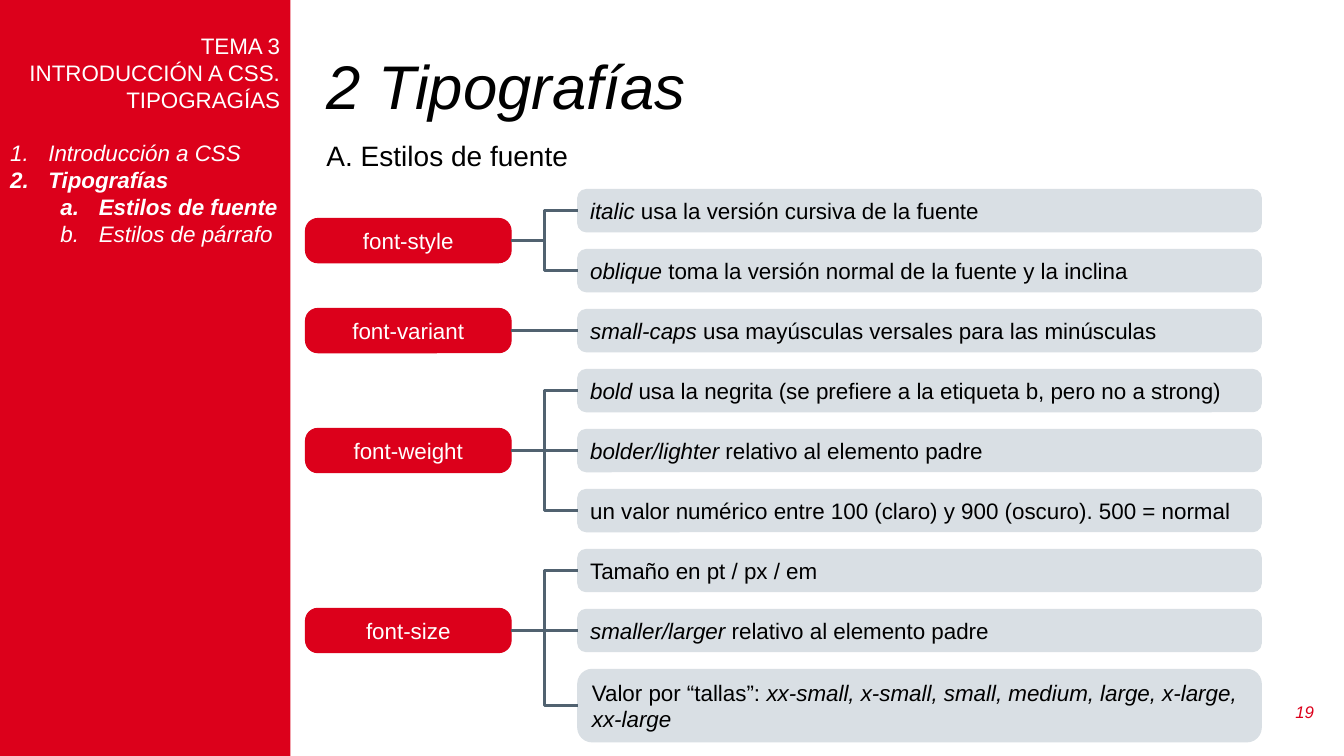
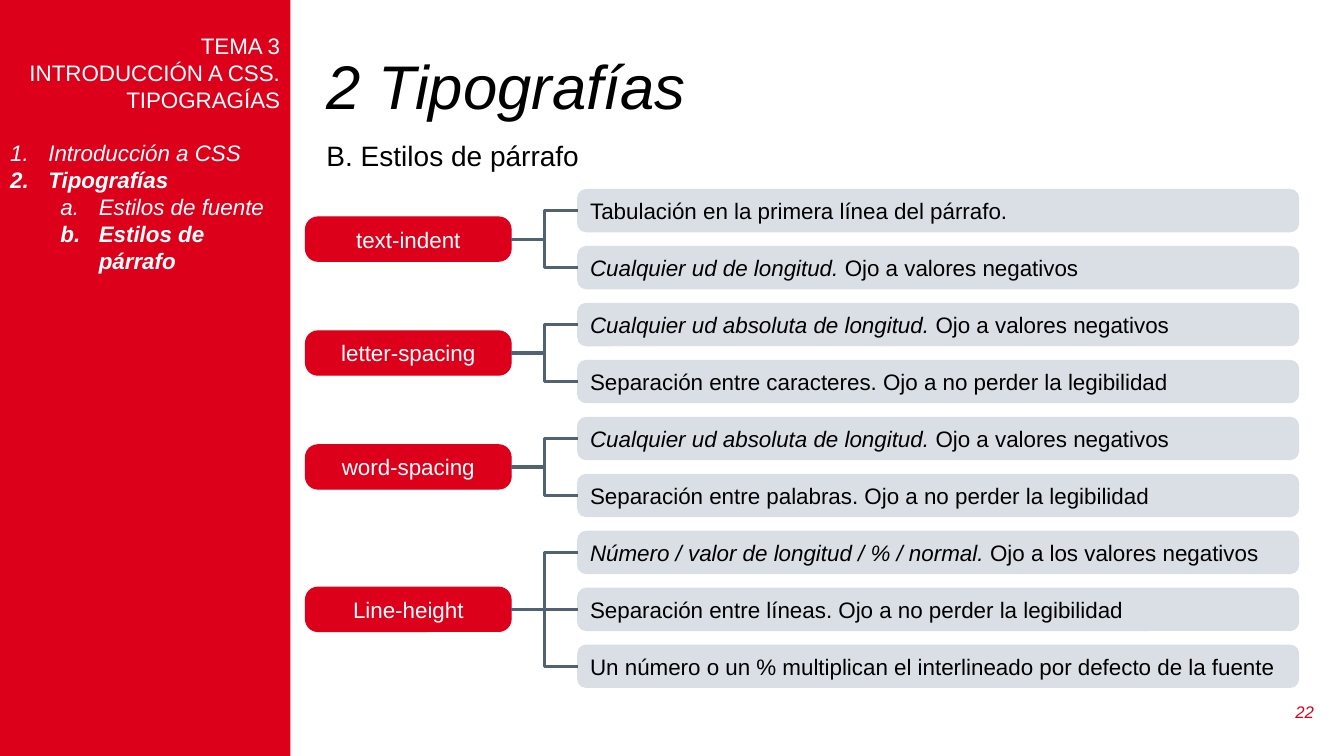
from lxml.etree import SubElement
from pptx import Presentation
from pptx.dml.color import RGBColor
from pptx.enum.shapes import MSO_CONNECTOR, MSO_SHAPE
from pptx.enum.text import MSO_ANCHOR, MSO_AUTO_SIZE, PP_ALIGN
from pptx.oxml.ns import qn
from pptx.util import Inches, Pt

# Shared style
RED = RGBColor(0xDC, 0x00, 0x1B)
GREY = RGBColor(0xD9, 0xDF, 0xE4)
SLATE = RGBColor(0x51, 0x62, 0x70)
WHITE = RGBColor(0xFF, 0xFF, 0xFF)
BLACK = RGBColor(0x00, 0x00, 0x00)
FONT = "Arial"
TEXT_SIZE = 16

# Layout, in inches
SLIDE_W, SLIDE_H = 13.33, 7.5
SIDEBAR_W = 2.88
CONTENT_X = 3.14
KEY_X, KEY_W, KEY_H = 3.03, 2.04, 0.44
VALUE_X, VALUE_H, EXTRA_LINE_H = 5.73, 0.42, 0.3
FIRST_ROW_Y = 1.88

# Shared wording
TITLE = "2 Tipografías"
HEADING = ["TEMA 3", "INTRODUCCIÓN A CSS. TIPOGRAGÍAS"]
CHAPTERS = ["Introducción a CSS", "Tipografías"]
SECTIONS = ["Estilos de fuente", "Estilos de párrafo"]

# Each group is a property and its values; *asterisks* mark italics
FONT_GROUPS = [
    ("font-style", [
        "*italic* usa la versión cursiva de la fuente",
        "*oblique* toma la versión normal de la fuente y la inclina"]),
    ("font-variant", [
        "*small-caps* usa mayúsculas versales para las minúsculas"]),
    ("font-weight", [
        "*bold* usa la negrita (se prefiere a la etiqueta b, pero no a strong)",
        "*bolder/lighter* relativo al elemento padre",
        "un valor numérico entre 100 (claro) y 900 (oscuro). 500 = normal"]),
    ("font-size", [
        "Tamaño en pt / px / em",
        "*smaller/larger* relativo al elemento padre",
        "Valor por “tallas”: *xx-small, x-small, small, medium, large, x-large,*"
        "\n*xx-large*"]),
]
PARAGRAPH_GROUPS = [
    ("text-indent", [
        "Tabulación en la primera línea del párrafo.",
        "*Cualquier ud de longitud.* Ojo a valores negativos"]),
    ("letter-spacing", [
        "*Cualquier ud absoluta de longitud.* Ojo a valores negativos",
        "Separación entre caracteres. Ojo a no perder la legibilidad"]),
    ("word-spacing", [
        "*Cualquier ud absoluta de longitud.* Ojo a valores negativos",
        "Separación entre palabras. Ojo a no perder la legibilidad"]),
    ("Line-height", [
        "*Número / valor de longitud / % / normal.* Ojo a los valores negativos",
        "Separación entre líneas. Ojo a no perder la legibilidad",
        "Un número o un % multiplican el interlineado por defecto de la fuente"]),
]


def place(sp, x, y, w, h):
    sp.left, sp.top, sp.width, sp.height = map(Inches, (x, y, w, h))


def format_run(r, color, size=TEXT_SIZE, italic=False, bold=False):
    r.font.name, r.font.size = FONT, Pt(size)
    r.font.color.rgb = color
    r.font.italic, r.font.bold = italic, bold


def write(p, text, color, align=PP_ALIGN.LEFT, **style):
    p.text = text
    p.alignment = align
    for r in p.runs:
        format_run(r, color, **style)


def write_marked(p, text, color, align):
    """Write text whose *marked* parts are italic."""
    p.alignment = align
    for i, part in enumerate(text.split("*")):
        if part:
            r = p.add_run()
            r.text = part
            format_run(r, color, italic=i % 2 == 1)


def set_list(p, margin, numbering=None):
    """Number a paragraph with a hanging indent, or remove its bullet."""
    pPr = p._p.get_or_add_pPr()
    pPr.set("marL", str(Inches(margin)))
    pPr.set("indent", str(Inches(-0.38 if numbering else 0)))
    if numbering:
        SubElement(pPr, qn("a:buAutoNum"), type=numbering)
    else:
        SubElement(pPr, qn("a:buNone"))


def add_title(slide):
    sp = slide.shapes.title
    place(sp, CONTENT_X, 0.5, 9.99, 0.78)
    tf = sp.text_frame
    tf.vertical_anchor = MSO_ANCHOR.MIDDLE
    tf.auto_size = MSO_AUTO_SIZE.NONE
    p = tf.paragraphs[0]
    write(p, TITLE, BLACK, size=44, italic=True)
    p.line_spacing = 0.9


def add_sidebar(slide, active):
    sp = slide.placeholders[1]
    place(sp, 0, 0, SIDEBAR_W, SLIDE_H)
    sp.fill.solid()
    sp.fill.fore_color.rgb = RED
    tf = sp.text_frame
    tf.auto_size = MSO_AUTO_SIZE.NONE
    tf.margin_top = Inches(0.32)
    tf.text = "\n".join(HEADING + CHAPTERS + SECTIONS)
    for p in tf.paragraphs:
        text = p.text
        p.space_before = p.space_after = Pt(0)
        if text in HEADING:
            write(p, text, WHITE, PP_ALIGN.RIGHT)
            if text == HEADING[-1]:
                p.space_after = Pt(19)
            set_list(p, 0)
            continue
        write(p, text, WHITE, italic=True, bold=text in (CHAPTERS[-1], active))
        if text in CHAPTERS:
            set_list(p, 0.38, "arabicPeriod")
        else:
            p.level = 1
            set_list(p, 0.88, "alphaLcPeriod")


def add_text(slide, x, y, w, h, text, color, **style):
    tf = slide.shapes.add_textbox(*map(Inches, (x, y, w, h))).text_frame
    tf.word_wrap = True
    write(tf.paragraphs[0], text, color, **style)
    return tf


def add_box(slide, x, y, w, h, text, fill, color, radius, align):
    sp = slide.shapes.add_shape(MSO_SHAPE.ROUNDED_RECTANGLE,
                                *map(Inches, (x, y, w, h)))
    sp.adjustments[0] = radius
    sp.shadow.inherit = False
    sp.fill.solid()
    sp.fill.fore_color.rgb = fill
    sp.line.color.rgb = fill
    sp.line.width = Pt(0.75)
    tf = sp.text_frame
    tf.word_wrap = True
    for i, line in enumerate(text.split("\n")):
        p = tf.add_paragraph() if i else tf.paragraphs[0]
        write_marked(p, line, color, align)
    return sp


def add_link(slide, key, value, level):
    kind = MSO_CONNECTOR.STRAIGHT if level else MSO_CONNECTOR.ELBOW
    link = slide.shapes.add_connector(kind, 0, 0, 0, 0)
    link.begin_connect(key, 3)
    link.end_connect(value, 1)
    link.line.color.rgb = SLATE
    link.line.width = Pt(2.25)
    SubElement(link._element.spPr, qn("a:effectLst"))


def add_groups(slide, groups, last_row_y, value_w):
    """Spread all values evenly and centre each property on its own values."""
    row_count = sum(len(values) for _, values in groups)
    pitch = (last_row_y - FIRST_ROW_Y) / (row_count - 1)
    row = 0
    for name, values in groups:
        middle = row + (len(values) - 1) / 2
        key_y = FIRST_ROW_Y + middle * pitch + (VALUE_H - KEY_H) / 2
        key = add_box(slide, KEY_X, key_y, KEY_W, KEY_H, name,
                      RED, WHITE, 0.28, PP_ALIGN.CENTER)
        for text in values:
            h = VALUE_H + EXTRA_LINE_H * text.count("\n")
            value = add_box(slide, VALUE_X, FIRST_ROW_Y + row * pitch, value_w,
                            h, text, GREY, BLACK, 0.2, PP_ALIGN.LEFT)
            add_link(slide, key, value, row == middle)
            row += 1


def add_topic(prs, letter, section, number, groups, last_row_y, value_w):
    slide = prs.slides.add_slide(prs.slide_layouts[1])
    add_title(slide)
    add_sidebar(slide, section)
    tf = add_text(slide, 12.52, 6.86, 0.61, 0.4, number, RED,
                  align=PP_ALIGN.RIGHT, size=12, italic=True)
    tf.vertical_anchor = MSO_ANCHOR.MIDDLE
    add_text(slide, CONTENT_X, 1.33, 7.46, 0.44, f"{letter}. {section}",
             BLACK, size=20)
    add_groups(slide, groups, last_row_y, value_w)


def main():
    prs = Presentation()
    prs.slide_width, prs.slide_height = Inches(SLIDE_W), Inches(SLIDE_H)
    add_topic(prs, "A", SECTIONS[0], "19", FONT_GROUPS, 6.64, 6.78)
    add_topic(prs, "B", SECTIONS[1], "22", PARAGRAPH_GROUPS, 6.4, 7.15)
    prs.save("out.pptx")


if __name__ == "__main__":
    main()
